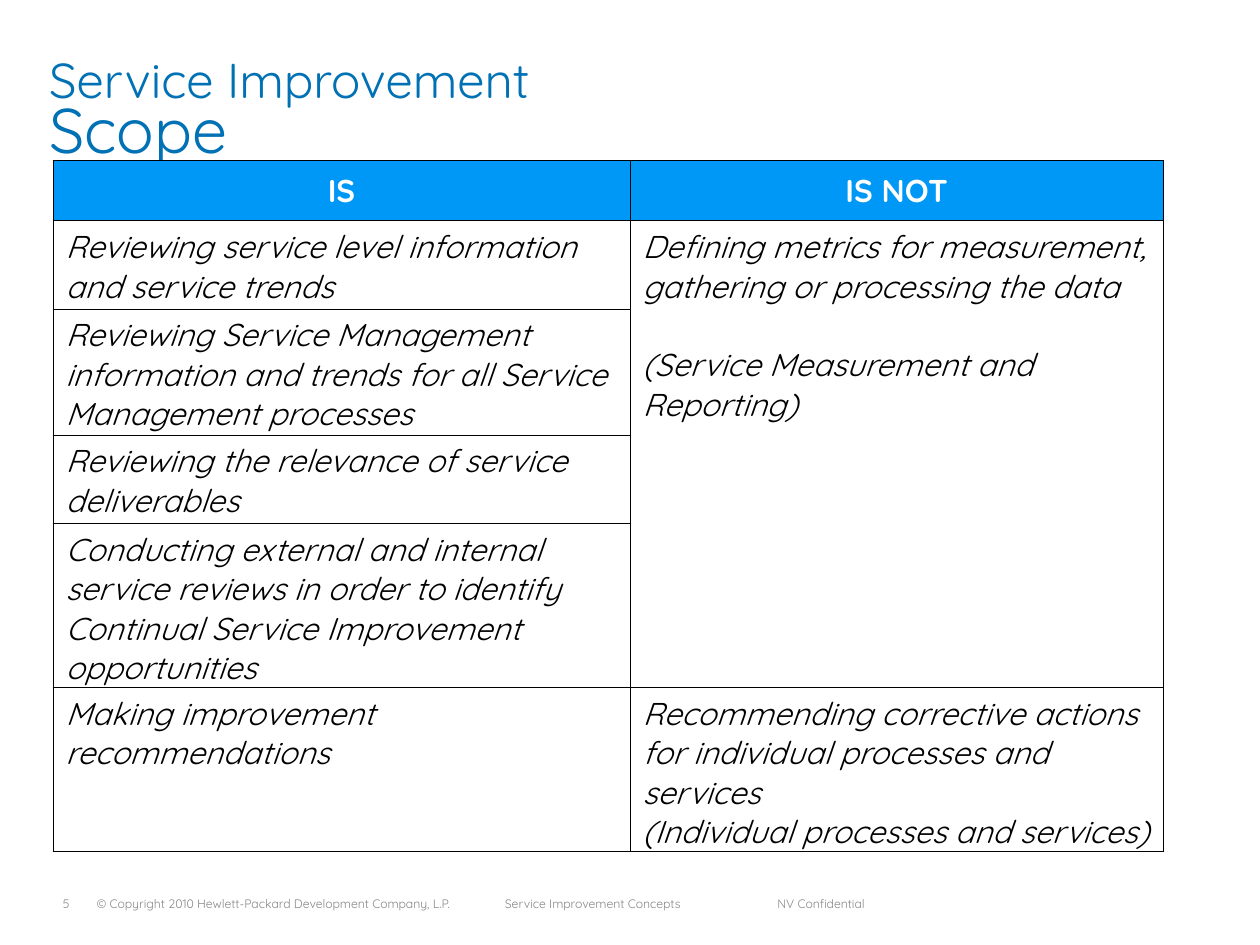
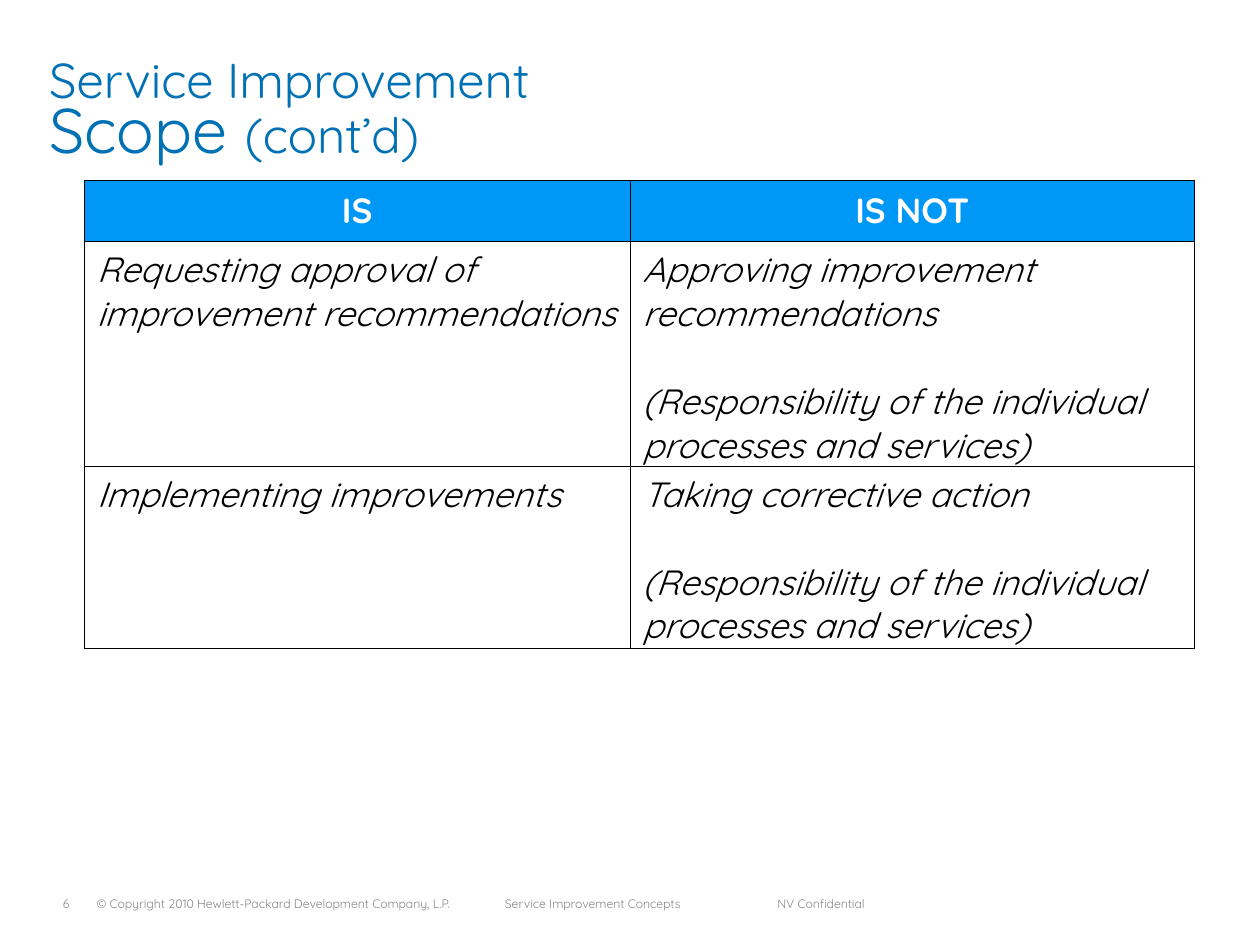
"""Builds the two Service Improvement scope slides."""
import lxml.etree
import pptx
import pptx.dml.color
import pptx.enum.text
import pptx.oxml.ns
import pptx.util

Cm = pptx.util.Cm
Pt = pptx.util.Pt
RGBColor = pptx.dml.color.RGBColor
Align = pptx.enum.text.PP_ALIGN
Anchor = pptx.enum.text.MSO_ANCHOR
qn = pptx.oxml.ns.qn

FONT = "Quicksand"
TITLE_BLUE = RGBColor(0x00, 0x71, 0xB4)
HEADER_BLUE = RGBColor(0x00, 0x98, 0xF6)
FOOTER_GREY = RGBColor(0x87, 0x87, 0x87)
BLACK = RGBColor(0, 0, 0)
WHITE = RGBColor(0xFF, 0xFF, 0xFF)


def write_text(frame, lines, size=7, color=FOOTER_GREY, bold=False, italic=False,
               align=Align.LEFT, gap=0, line_spacing=None, tab=None):
    """Fill a frame with lines; a line is a string or a list of (text, size) pairs."""
    frame.word_wrap = True
    for index, line in enumerate(lines):
        para = frame.paragraphs[0] if index == 0 else frame.add_paragraph()
        para.alignment = align
        if line_spacing:
            para.line_spacing = Pt(line_spacing)
        if index and gap:
            para.space_before = Pt(gap)
        if tab:
            stops = lxml.etree.SubElement(para._p.get_or_add_pPr(), qn("a:tabLst"))
            lxml.etree.SubElement(stops, qn("a:tab"), pos=str(Cm(tab)), algn="l")
        for text, span_size in [(line, size)] if isinstance(line, str) else line:
            span = para.add_run()
            span.text = text
            span.font.name = FONT
            span.font.size = Pt(span_size)
            span.font.bold = bold
            span.font.italic = italic
            span.font.color.rgb = color


def outline_cell(cell):
    """Draw a thin black border on all sides of a cell."""
    properties = cell._tc.get_or_add_tcPr()
    for side in ("a:lnL", "a:lnR", "a:lnT", "a:lnB"):
        line = lxml.etree.SubElement(properties, qn(side), w=str(Pt(0.45)))
        fill = lxml.etree.SubElement(line, qn("a:solidFill"))
        lxml.etree.SubElement(fill, qn("a:srgbClr"), val=str(BLACK))


RESPONSIBILITY = "(Responsibility of the individual processes and services)"
SLIDES = [
    {
        "number": "5",
        "subtitle": [("Scope", 36)],
        "left": 1.07, "top": 3.23, "columns": (11.63, 10.75),
        "size": 18, "header_height": 1.22,
        "rows": [
            (1.78, "Reviewing service level information and service trends",
             ["Defining metrics for measurement, gathering or processing the data",
              "(Service Measurement and Reporting)"], 22.5),
            (2.54, "Reviewing Service Management information and trends "
                   "for all Service Management processes", None, 0),
            (1.78, "Reviewing the relevance of service deliverables", None, 0),
            (3.3, "Conducting external and internal service reviews in order to "
                  "identify Continual Service Improvement opportunities", None, 0),
            (3.3, "Making improvement recommendations",
             ["Recommending corrective actions for individual processes and services",
              "(Individual processes and services)"], 0),
        ],
    },
    {
        "number": "6",
        "subtitle": [("Scope ", 36), ("(cont’d)", 28)],
        "left": 1.7, "top": 3.63, "columns": (11.0, 11.38),
        "size": 20, "header_height": 1.24,
        "rows": [
            (4.5, "Requesting approval of improvement recommendations",
             ["Approving improvement recommendations", RESPONSIBILITY], 25),
            (3.63, "Implementing improvements",
             ["Taking corrective action", RESPONSIBILITY], 25),
        ],
    },
]

deck = pptx.Presentation()
deck.slide_width = Cm(25.4)
deck.slide_height = Cm(19.05)

for content in SLIDES:
    page = deck.slides.add_slide(deck.slide_layouts[6])

    footers = [
        (1.7, 10.95, "© Copyright 2010 Hewlett-Packard Development Company, L.P.", None),
        (1.02, 1.07, content["number"], None),
        (9.93, 14.0, "Service Improvement Concepts\tNV Confidential", 5.49),
    ]
    for left, width, text, tab in footers:
        box = page.shapes.add_textbox(Cm(left), Cm(17.95), Cm(width), Cm(0.57))
        write_text(box.text_frame, [text], tab=tab)

    box = page.shapes.add_textbox(Cm(0.74), Cm(0.3), Cm(22.91), Cm(3.18))
    box.text_frame.vertical_anchor = Anchor.BOTTOM
    write_text(box.text_frame, [[("Service Improvement", 28)], content["subtitle"]],
               color=TITLE_BLUE, line_spacing=33)

    rows = content["rows"]
    heights = [content["header_height"]] + [row[0] for row in rows]
    table = page.shapes.add_table(
        len(heights), 2, Cm(content["left"]), Cm(content["top"]),
        Cm(sum(content["columns"])), Cm(sum(heights))).table
    table.first_row = False
    table.horz_banding = False
    for column, width in zip(table.columns, content["columns"]):
        column.width = Cm(width)
    for row, height in zip(table.rows, heights):
        row.height = Cm(height)
    for cell in table.iter_cells():
        outline_cell(cell)
        cell.fill.background()

    for column, heading in enumerate(("IS", "IS NOT")):
        cell = table.cell(0, column)
        cell.fill.solid()
        cell.fill.fore_color.rgb = HEADER_BLUE
        cell.vertical_anchor = Anchor.MIDDLE
        write_text(cell.text_frame, [heading], size=content["size"], color=WHITE,
                   bold=True, align=Align.CENTER)

    for index, (height, included, excluded, gap) in enumerate(rows, start=1):
        for column, lines in enumerate(([included], excluded)):
            if lines:
                write_text(table.cell(index, column).text_frame, lines,
                           size=content["size"], color=BLACK, italic=True, gap=gap)
        if excluded:
            last = index
            while last < len(rows) and rows[last][2] is None:
                last += 1
            if last > index:
                table.cell(index, 1).merge(table.cell(last, 1))

deck.save("out.pptx")
